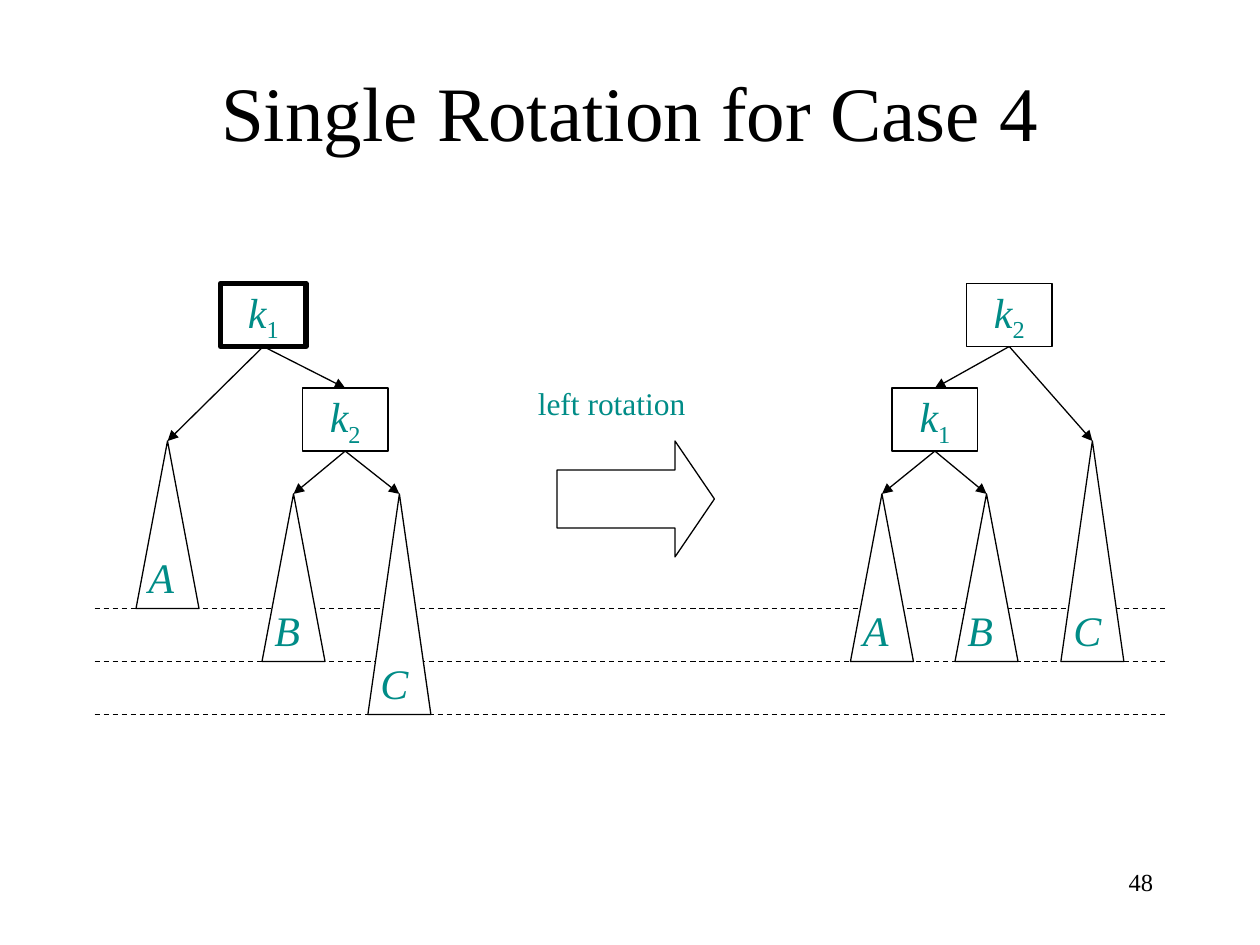
import lxml.etree
import pptx
import pptx.dml.color
import pptx.enum.dml
import pptx.enum.shapes
import pptx.enum.text
import pptx.oxml.ns
import pptx.util
from dataclasses import dataclass

Inches = pptx.util.Inches
Align = pptx.enum.text.PP_ALIGN
Anchor = pptx.enum.text.MSO_ANCHOR
Fit = pptx.enum.text.MSO_AUTO_SIZE
Shape = pptx.enum.shapes.MSO_SHAPE


def rgb(code):
    return pptx.dml.color.RGBColor.from_string(code)


def add(parent, tag, **attrs):
    return lxml.etree.SubElement(parent, pptx.oxml.ns.qn(tag), **attrs)


@dataclass(frozen=True)
class Theme:
    font: str = "Times New Roman"
    ink: str = "000000"
    teal: str = "008C87"
    paper: str = "FFFFFF"
    title: int = 44
    label: int = 24
    note: int = 18
    page: int = 14
    thin: float = 0.75
    thick: float = 3


def write(frame, text, *, font, size, color, italic=False, sub="",
          align=Align.LEFT, anchor=Anchor.TOP, wrap=True, fit=Fit.NONE):
    """Fill a text frame with one line and an optional subscript."""
    frame.word_wrap = wrap
    frame.auto_size = fit
    frame.vertical_anchor = anchor
    line = frame.paragraphs[0]
    line.alignment = align
    for part, low in ((text, False), (sub, True)):
        if not part:
            continue
        run = line.add_run()
        run.text = part
        run.font.name = font
        run.font.size = pptx.util.Pt(size)
        run.font.color.rgb = rgb(color)
        run.font.italic = italic and not low
        if low:
            run.font._element.set("baseline", "-25000")


class Deck:
    def __init__(self, theme, slide):
        self.theme = theme
        self.slide = slide
        self.shapes = slide.shapes

    def title(self, text, left, top, width, height):
        box = self.shapes.title
        box.left, box.top = Inches(left), Inches(top)
        box.width, box.height = Inches(width), Inches(height)
        write(box.text_frame, text, font=self.theme.font, size=self.theme.title,
              color=self.theme.ink, align=Align.CENTER, anchor=Anchor.MIDDLE)

    def text(self, text, left, top, width, height, **style):
        box = self.shapes.add_textbox(*map(Inches, (left, top, width, height)))
        write(box.text_frame, text, font=self.theme.font, **style)

    def edge(self, shape, weight, fill=None):
        shape.shadow.inherit = False
        shape.line.color.rgb = rgb(self.theme.ink)
        shape.line.width = pptx.util.Pt(weight)
        if fill:
            shape.fill.solid()
            shape.fill.fore_color.rgb = rgb(fill)
        else:
            shape.fill.background()

    def node(self, sub, left, top, weight=None):
        box = self.shapes.add_shape(
            Shape.RECTANGLE, *map(Inches, (left, top, 0.68, 0.5)))
        self.edge(box, weight or self.theme.thin)
        write(box.text_frame, "k", sub=sub, font=self.theme.font,
              size=self.theme.label, color=self.theme.teal, italic=True,
              align=Align.CENTER, anchor=Anchor.MIDDLE, wrap=False)
        return box

    def line(self, start, end):
        link = self.shapes.add_connector(
            pptx.enum.shapes.MSO_CONNECTOR.STRAIGHT, *map(Inches, start + end))
        link.line.color.rgb = rgb(self.theme.ink)
        link.line.width = pptx.util.Pt(self.theme.thin)
        add(link._element.spPr, "a:effectLst")
        return link

    def level(self, y):
        rule = self.line((0.75, y), (9.25, y))
        rule.line.dash_style = pptx.enum.dml.MSO_LINE.DASH

    def link(self, node, tip=(0, 0), child=None):
        """Point from a node's foot to a tip, or to the top of a child node."""
        arrow = self.line((0, 0), tip)
        arrow.begin_connect(node, 2)
        if child is not None:
            arrow.end_connect(child, 0)
        add(arrow.line._get_or_add_ln(), "a:tailEnd", type="triangle")

    def tree(self, name, parent, left, top, base):
        """Draw a subtree as a triangle hung from its parent node."""
        tip = (left + 0.25, top)
        path = self.shapes.build_freeform(Inches(left), Inches(base))
        path.add_line_segments(
            [(Inches(left + 0.5), Inches(base)), tuple(map(Inches, tip))])
        self.edge(path.convert_to_shape(), self.theme.thin, self.theme.paper)
        self.link(parent, tip)
        self.text(name, left, base - 0.5, 0.4, 0.5, size=self.theme.label,
                  color=self.theme.teal, italic=True, wrap=False,
                  fit=Fit.SHAPE_TO_FIT_TEXT)

    def arrow(self, left, top, width, height):
        block = self.shapes.add_shape(
            Shape.RIGHT_ARROW, *map(Inches, (left, top, width, height)))
        block.adjustments[1] = 0.34
        self.edge(block, self.theme.thin, self.theme.paper)


def main():
    show = pptx.Presentation()
    show.slide_width, show.slide_height = Inches(10), Inches(7.5)
    theme = Theme()
    deck = Deck(theme, show.slides.add_slide(show.slide_layouts[5]))
    deck.title("Single Rotation for Case 4", 0.75, 0.25, 8.5, 1.25)

    # Depth levels
    levels = high, mid, low = 4.83, 5.25, 5.67
    for y in levels:
        deck.level(y)

    # Tree before the rotation
    root = deck.node("1", 1.75, 2.25, theme.thick)
    child = deck.node("2", 2.4, 3.08)
    deck.link(root, child=child)
    deck.tree("C", child, 2.92, 3.92, low)
    deck.tree("B", child, 2.08, 3.92, mid)
    deck.tree("A", root, 1.08, 3.5, high)

    # Rotation arrow and its label
    deck.arrow(4.42, 3.5, 1.25, 0.92)
    deck.text("left rotation", 4.17, 3, 1.67, 0.4, size=theme.note,
              color=theme.teal, fit=Fit.SHAPE_TO_FIT_TEXT)

    # Tree after the rotation
    root = deck.node("2", 7.67, 2.25)
    child = deck.node("1", 7.08, 3.08)
    deck.link(root, child=child)
    deck.tree("C", root, 8.42, 3.5, mid)
    deck.tree("B", child, 7.58, 3.92, mid)
    deck.tree("A", child, 6.75, 3.92, mid)

    # Page number
    deck.text("48", 7.17, 6.83, 2.08, 0.5, size=theme.page,
              color=theme.ink, align=Align.RIGHT)
    show.save("out.pptx")


if __name__ == "__main__":
    main()
